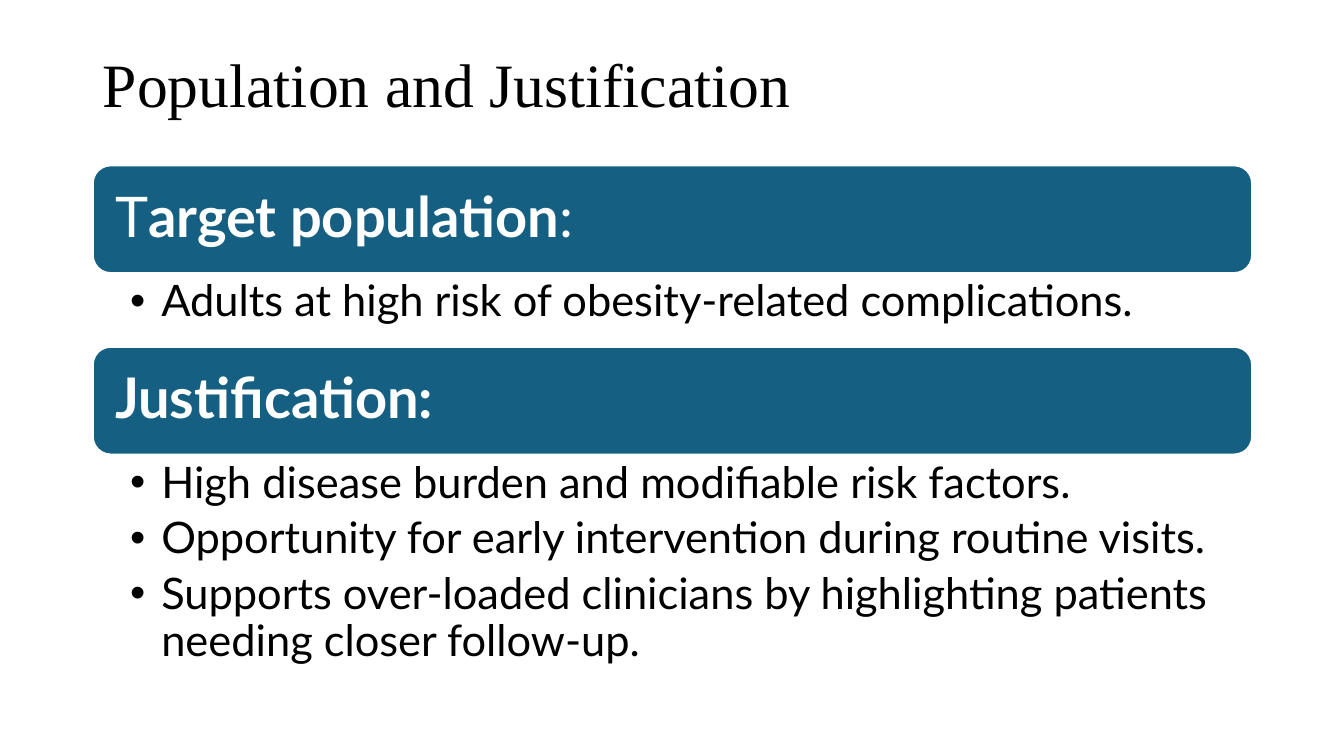
from dataclasses import dataclass

from lxml.etree import SubElement
from pptx import Presentation
from pptx.dml.color import RGBColor
from pptx.enum.shapes import MSO_SHAPE
from pptx.enum.text import MSO_ANCHOR, PP_ALIGN
from pptx.oxml.ns import qn
from pptx.util import Inches, Pt


@dataclass(frozen=True)
class Theme:
    bar: RGBColor = RGBColor(0x15, 0x60, 0x82)
    light: RGBColor = RGBColor(0xFF, 0xFF, 0xFF)
    dark: RGBColor = RGBColor(0x00, 0x00, 0x00)
    title_font: str = "Times New Roman"
    body_font: str = "Lato"
    title_size: int = 44
    heading_size: int = 40
    bullet_size: int = 31
    line_spacing: float = 0.9


THEME = Theme()

# One content column, stacked rows (inches)
SLIDE_WIDTH, SLIDE_HEIGHT = 13.33, 7.5
COLUMN_LEFT, COLUMN_WIDTH = 0.92, 11.5
TITLE_TOP, TITLE_HEIGHT = 0.4, 0.94
SECTIONS_TOP, BAR_HEIGHT = 1.64, 1.07
BULLET_INDENT = 0.31

# Heading runs as (text, bold), height of the list, bullets
SECTIONS = [
    ([("T", False), ("arget population", True), (":", False)], 0.73,
     ["Adults at high risk of obesity-related complications."]),
    ([("Justification:", True)], 2.22,
     ["High disease burden and modifiable risk factors.",
      "Opportunity for early intervention during routine visits.",
      "Supports over-loaded clinicians by highlighting patients needing closer follow-up."]),
]


def apply_format(target, values):
    for name, value in values.items():
        setattr(target, name, value)


def column_box(top, height):
    return [Inches(length) for length in (COLUMN_LEFT, top, COLUMN_WIDTH, height)]


def set_frame(text_frame, anchor, left, top, right, bottom):
    apply_format(text_frame, {
        "word_wrap": True, "vertical_anchor": anchor,
        "margin_left": Inches(left), "margin_top": Inches(top),
        "margin_right": Inches(right), "margin_bottom": Inches(bottom),
    })


def add_run(paragraph, text, font_name, size, color, bold=False):
    run = paragraph.add_run()
    run.text = text
    apply_format(run.font, {"name": font_name, "size": Pt(size), "bold": bold})
    run.font.color.rgb = color


def add_title(slide, text):
    title = slide.shapes.title
    box = column_box(TITLE_TOP, TITLE_HEIGHT)
    apply_format(title, dict(zip(("left", "top", "width", "height"), box)))
    set_frame(title.text_frame, MSO_ANCHOR.MIDDLE, 0.1, 0.05, 0.1, 0.05)
    paragraph = title.text_frame.paragraphs[0]
    apply_format(paragraph, {"alignment": PP_ALIGN.LEFT, "line_spacing": THEME.line_spacing})
    add_run(paragraph, text, THEME.title_font, THEME.title_size, THEME.dark)


def add_heading_bar(slide, top, heading):
    bar = slide.shapes.add_shape(MSO_SHAPE.ROUNDED_RECTANGLE, *column_box(top, BAR_HEIGHT))
    bar.shadow.inherit = False
    bar.fill.solid()
    bar.fill.fore_color.rgb = THEME.bar
    bar.line.color.rgb = THEME.light
    bar.line.width = Pt(1.5)
    set_frame(bar.text_frame, MSO_ANCHOR.MIDDLE, 0.17, 0.17, 0.17, 0.17)
    paragraph = bar.text_frame.paragraphs[0]
    apply_format(paragraph, {"alignment": PP_ALIGN.LEFT, "line_spacing": THEME.line_spacing})
    for text, bold in heading:
        add_run(paragraph, text, THEME.body_font, THEME.heading_size, THEME.light, bold)


def add_bullet(paragraph):
    properties = paragraph._p.get_or_add_pPr()
    properties.set("marL", str(Inches(BULLET_INDENT)))
    properties.set("indent", str(-Inches(BULLET_INDENT)))
    SubElement(properties, qn("a:buFont"), typeface="Arial")
    SubElement(properties, qn("a:buChar"), char="•")


def add_bullet_list(slide, top, height, bullets):
    text_frame = slide.shapes.add_textbox(*column_box(top, height)).text_frame
    set_frame(text_frame, MSO_ANCHOR.TOP, 0.37, 0.06, 0.31, 0.06)
    for index, text in enumerate(bullets):
        paragraph = text_frame.add_paragraph() if index else text_frame.paragraphs[0]
        add_bullet(paragraph)
        apply_format(paragraph, {
            "level": 1, "alignment": PP_ALIGN.LEFT,
            "line_spacing": THEME.line_spacing, "space_after": Pt(0.2 * THEME.bullet_size),
        })
        add_run(paragraph, text, THEME.body_font, THEME.bullet_size, THEME.dark)


def main():
    presentation = Presentation()
    presentation.slide_width = Inches(SLIDE_WIDTH)
    presentation.slide_height = Inches(SLIDE_HEIGHT)
    title_only = presentation.slide_layouts.get_by_name("Title Only")
    slide = presentation.slides.add_slide(title_only)

    add_title(slide, "Population and Justification")

    # Each section is a heading bar followed by its list
    top = SECTIONS_TOP
    for heading, list_height, bullets in SECTIONS:
        add_heading_bar(slide, top, heading)
        add_bullet_list(slide, top + BAR_HEIGHT, list_height, bullets)
        top += BAR_HEIGHT + list_height

    presentation.save("out.pptx")


if __name__ == "__main__":
    main()
